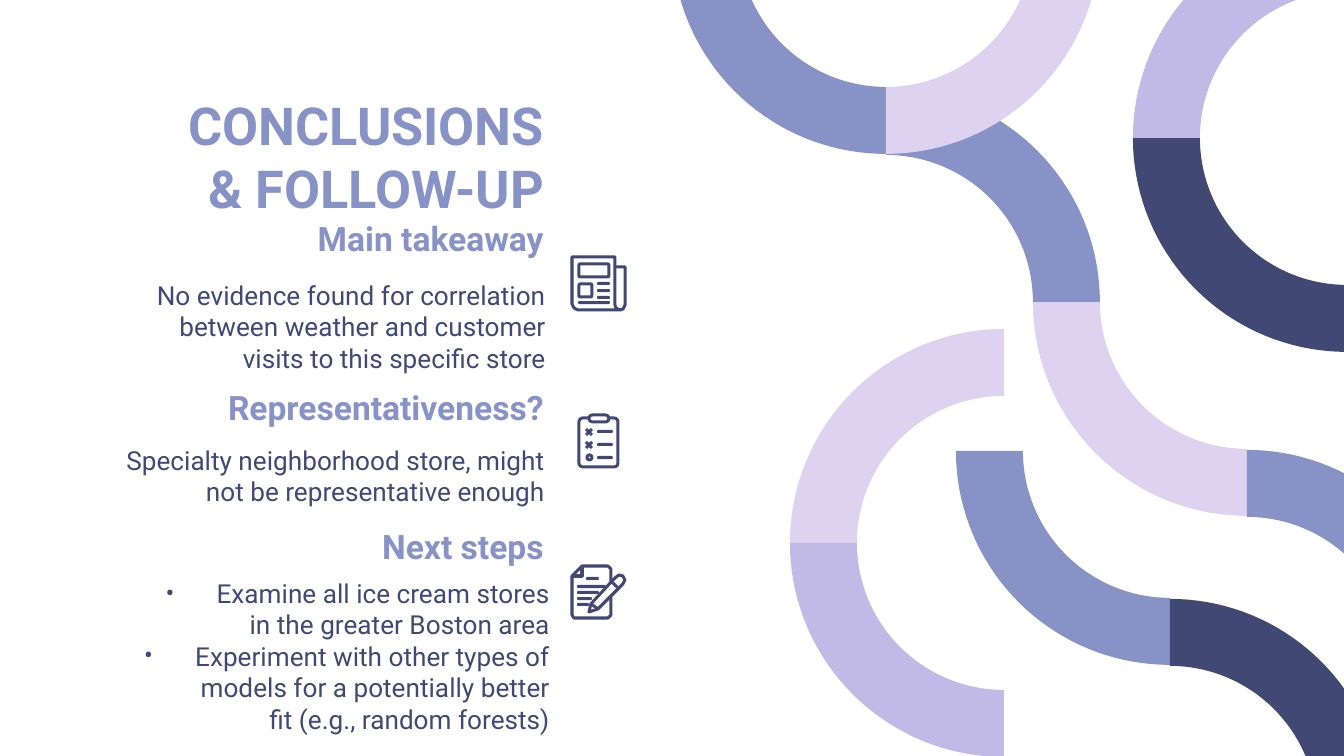
import math

from lxml import etree
from pptx import Presentation
from pptx import util as u
from pptx.dml.color import RGBColor
from pptx.enum import shapes, text
from pptx.oxml.ns import qn

PX = 914400 / 134.4
COLORS = {"light": "DDD3F0", "mid": "C2BAE6", "blue": "8793C7",
          "dark": "424874", "white": "FFFFFF"}
FONT = "Roboto"

# Quarter rings: centre x, centre y, start angle (clockwise from east), colour
OUTER, INNER = 214, 147
RINGS = [
    (1247, 302, 90, "light"), (1004, 543, 90, "mid"), (1347, 138, 90, "dark"),
    (1170, 451, 90, "blue"), (886, -60, 90, "blue"), (886, 302, 270, "blue"),
    (1247, 664, 270, "blue"), (1170, 813, 270, "dark"),
    (1004, 543, 180, "light"), (1347, 138, 180, "mid"), (886, -60, 0, "light"),
]

# Text blocks: box, style, paragraphs
STYLES = {
    "title": {"size": 28, "bold": True, "color": "blue"},
    "heading": {"size": 18, "bold": True, "color": "blue"},
    "body": {"size": 14, "bold": False, "color": "dark", "indent": True},
    "bullets": {"size": 14, "bold": False, "color": "dark", "indent": True,
                "bullet": "•"},
}
TEXTS = [
    ((104, 80, 453, 70), "title", ["CONCLUSIONS\v& FOLLOW-UP"]),
    ((54, 266, 505, 70), "body",
     ["No evidence found for correlation between weather and customer "
      "visits to this specific store"]),
    ((53, 431, 505, 70), "body",
     ["Specialty neighborhood store, might not be representative enough"]),
    ((110, 564, 453, 70), "bullets",
     ["Examine all ice cream stores in the greater Boston area",
      "Experiment with other types of models for a potentially better fit "
      "(e.g., random forests)"]),
    ((104, 513, 453, 58), "heading", ["Next steps"]),
    ((104, 374, 453, 58), "heading", ["Representativeness?"]),
    ((104, 205, 453, 58), "heading", ["Main takeaway"]),
]

# Icon parts: frames (outlined boxes), bars (x, y, width), strokes (contours)
STROKE = 3
NEWSPAPER = {
    "strokes": [
        ([[(572, 257), (615, 257), (615, 305), (616, 308), (620, 310),
           (578, 310), (574, 308), (572, 304)]], True),
        ([[(615, 267), (625, 267), (625, 305), (623, 309), (620, 310)]], False),
    ],
}
ARTICLE = {
    "frames": [(579, 264, 30, 13, 0.1), (579, 284, 13, 13, 0.1)],
    "bars": [(597, 282, 13), (597, 289, 13), (597, 296, 13), (578, 301, 32)],
}
CROSS = [(586, 429), (592, 435)], [(592, 429), (586, 435)]
CHECKLIST = {
    "frames": [(579, 418, 39, 49, 0.1), (589, 415, 20, 7, 0.5),
               (587, 455, 5, 5, 0.5)],
    "bars": [(597, y, 16) for y in (430, 443, 456)],
    "strokes": [([[(x, y + dy) for x, y in c] for c in CROSS], False)
                for dy in (0, 13)],
}
DOCUMENT = {
    "strokes": [([[(582, 566), (608, 566), (611, 569), (611, 615), (608, 618),
                   (574, 618), (572, 615), (572, 576)]], True),
                ([[(582, 566), (582, 576), (572, 576)]], False)],
    "bars": [(586, 577, 13), (577, 585, 29), (577, 591, 22), (577, 597, 15),
             (577, 603, 12)],
}
PENCIL = {
    "strokes": [
        ([[(589, 612), (591, 604), (615, 578), (619, 575), (623, 576),
           (625, 580), (623, 584), (598, 609)]], True),
        ([[(612, 582), (618, 588)], [(591, 604), (598, 609)]], False),
    ],
}


def px(n):
    return u.Emu(round(n * PX))


def rgb(name):
    return RGBColor.from_string(COLORS[name])


def paint(sp, fill=None, line=None):
    sp.shadow.inherit = False
    if fill:
        sp.fill.solid()
        sp.fill.fore_color.rgb = rgb(fill)
    else:
        sp.fill.background()
    if line:
        sp.line.color.rgb = rgb(line)
        sp.line.width = px(STROKE)
    else:
        sp.line.fill.background()


def add_outline(slide, contours, closed):
    """Freeform through contours of px points, kept at EMU precision."""
    contours = [[(px(x), px(y)) for x, y in c] for c in contours]
    builder = slide.shapes.build_freeform(*contours[0][0])
    builder.add_line_segments(contours[0][1:], close=closed)
    for contour in contours[1:]:
        builder.move_to(*contour[0])
        builder.add_line_segments(contour[1:], close=closed)
    return builder.convert_to_shape()


def add_ring(slide, cx, cy, start, color, steps=36):
    def arc(radius):
        angles = [math.radians(start + 90 * i / steps) for i in range(steps + 1)]
        return [(cx + radius * math.cos(a), cy + radius * math.sin(a))
                for a in angles]

    paint(add_outline(slide, [arc(OUTER) + arc(INNER)[::-1]], True), color)


def add_round_box(slide, x, y, w, h, corner):
    sp = slide.shapes.add_shape(shapes.MSO_SHAPE.ROUNDED_RECTANGLE,
                                px(x), px(y), px(w), px(h))
    sp.adjustments[0] = corner
    return sp


def add_icon(slide, icon):
    for frame in icon.get("frames", []):
        paint(add_round_box(slide, *frame), "white", "dark")
    for contours, closed in icon.get("strokes", []):
        paint(add_outline(slide, contours, closed),
              "white" if closed else None, "dark")
    for x, y, w in icon.get("bars", []):
        paint(add_round_box(slide, x, y, w, STROKE, 0.5), "dark")


def add_text(slide, box, style, lines):
    tf = slide.shapes.add_textbox(*map(px, box)).text_frame
    tf.word_wrap = True
    tf.vertical_anchor = text.MSO_ANCHOR.TOP
    tf.margin_left = tf.margin_right = u.Inches(0.1)
    tf.margin_top = tf.margin_bottom = u.Inches(0.1)
    for i, line in enumerate(lines):
        p = tf.add_paragraph() if i else tf.paragraphs[0]
        p.text = line
        p.alignment = text.PP_ALIGN.RIGHT
        p.font.name = FONT
        p.font.size = u.Pt(style["size"])
        p.font.bold = style["bold"]
        p.font.color.rgb = rgb(style["color"])
        pPr = p._p.get_or_add_pPr()
        if style.get("indent"):
            pPr.set("marL", str(u.Inches(0.5)))
            pPr.set("indent", str(u.Inches(-0.38)))
        if style.get("bullet"):
            pPr.insert(0, etree.Element(qn("a:buFont"), typeface=FONT))
            pPr.insert(1, etree.Element(qn("a:buChar"), char=style["bullet"]))


def main():
    prs = Presentation()
    prs.slide_width, prs.slide_height = px(1344), px(756)
    slide = prs.slides.add_slide(prs.slide_layouts[6])
    for ring in RINGS:
        add_ring(slide, *ring)
    for box, style, lines in TEXTS:
        add_text(slide, box, STYLES[style], lines)
    for icon in (DOCUMENT, PENCIL, NEWSPAPER, ARTICLE, CHECKLIST):
        add_icon(slide, icon)
    prs.save("out.pptx")


if __name__ == "__main__":
    main()
